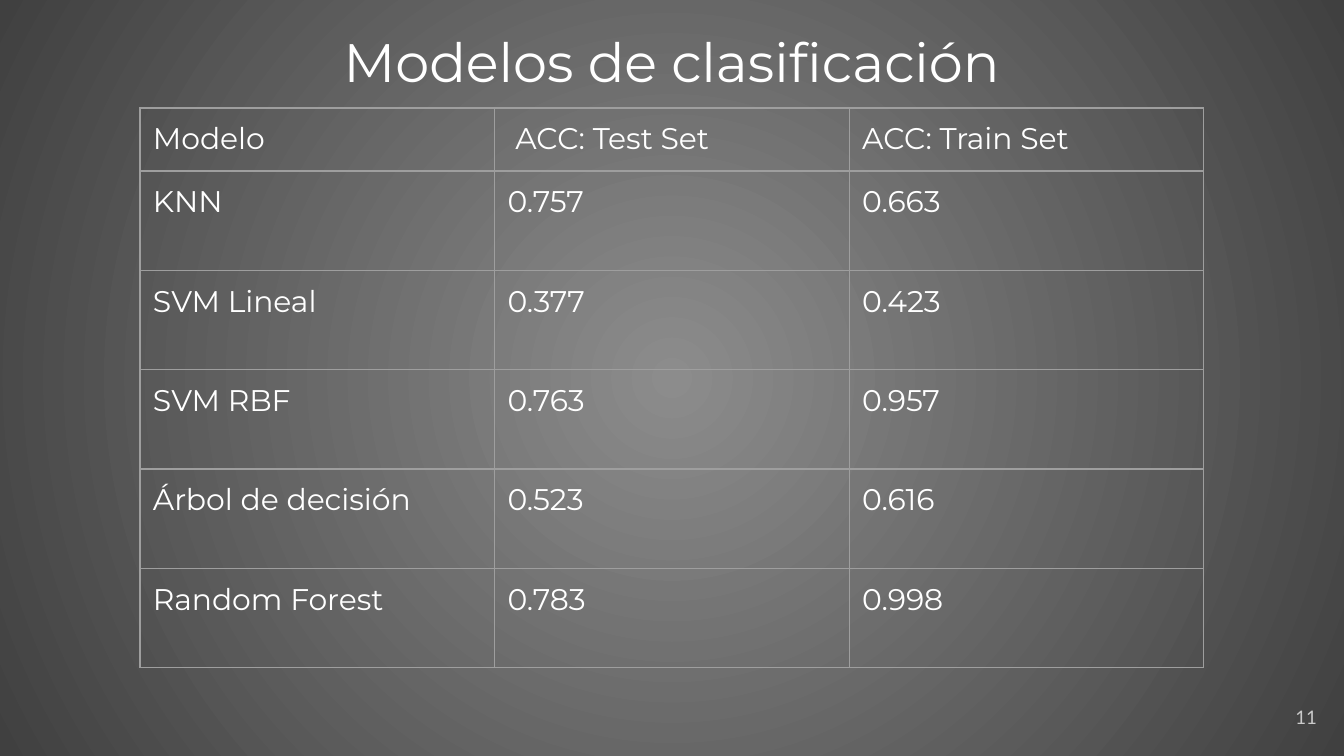
"""Build a slide with a table of classification model accuracies."""
from pptx import Presentation
from pptx.dml.color import RGBColor
from pptx.enum.text import MSO_ANCHOR, MSO_AUTO_SIZE, PP_ALIGN
from pptx.oxml import parse_xml
from pptx.oxml.ns import nsdecls, qn
from pptx.util import Pt

LEFT, MID, RIGHT = PP_ALIGN.LEFT, PP_ALIGN.CENTER, PP_ALIGN.RIGHT
TOP, MIDDLE = MSO_ANCHOR.TOP, MSO_ANCHOR.MIDDLE
NONE = MSO_AUTO_SIZE.NONE

TITLE = "Modelos de clasificación"
PAGE = "11"
ROWS = [
    ("Modelo", " ACC: Test Set", "ACC: Train Set"),
    ("KNN", "0.757", "0.663"),
    ("SVM Lineal", "0.377", "0.423"),
    ("SVM RBF", "0.763", "0.957"),
    ("Árbol de decisión", "0.523", "0.616"),
    ("Random Forest", "0.783", "0.998"),
]
COLORS = {"text": "FFFFFF", "page": "CACACA", "line": "9E9E9E",
          "inner": "8C8C8C", "outer": "404040"}
FONTS = {
    "title": {"name": "Montserrat", "size": Pt(29)},
    "cell": {"name": "Montserrat", "size": Pt(16)},
    "page": {"name": "Lato", "size": Pt(10)},
}
SIZE = (1344, 756)
BOXES = {"title": (140, 15, 1064, 92), "page": (1249, 688, 81, 58),
         "table": (140, 108, 1064, 560)}
HEAD = 63
PAD = 13
SCALE = 914400 / 134.4


def px(num):
    return round(num * SCALE)


def put(item, vals):
    for key, val in vals.items():
        setattr(item, key, val)


def pad(item):
    put(item, {f"margin_{side}": px(PAD)
               for side in ("left", "right", "top", "bottom")})


def write(frame, text, kind, color, align):
    par = frame.paragraphs[0]
    par.alignment = align
    run = par.add_run()
    run.text = text
    put(run.font, FONTS[kind])
    run.font.color.rgb = RGBColor.from_string(COLORS[color])


def place(shape, kind):
    names = ("left", "top", "width", "height")
    put(shape, dict(zip(names, map(px, BOXES[kind]))))


def label(shape, text, kind, color, align, anchor):
    place(shape, kind)
    frame = shape.text_frame
    put(frame, {"word_wrap": True, "auto_size": NONE,
                "vertical_anchor": anchor})
    pad(frame)
    write(frame, text, kind, color, align)


def border(cell):
    props = cell._tc.get_or_add_tcPr()
    for spot, side in enumerate("LRTB"):
        props.insert(spot, parse_xml(
            f'<a:ln{side} {nsdecls("a")} w="{Pt(0.75)}"><a:solidFill>'
            f'<a:srgbClr val="{COLORS["line"]}"/></a:solidFill></a:ln{side}>'))


def backdrop(slide):
    fill = slide.background.fill
    fill.gradient()
    for stop, name in zip(fill.gradient_stops, ("inner", "outer")):
        stop.color.rgb = RGBColor.from_string(COLORS[name])
    grad = next(slide.element.iter(qn("a:gradFill")))
    grad.remove(grad.find(qn("a:lin")))
    grad.append(parse_xml(
        f'<a:path {nsdecls("a")} path="circle"><a:fillToRect l="50000" '
        't="50000" r="50000" b="50000"/></a:path>'))


def grid(slide):
    x, y, wide, high = BOXES["table"]
    count = len(ROWS[0])
    table = slide.shapes.add_table(
        len(ROWS), count, *map(px, (x, y, wide, high))).table
    put(table, {"first_row": False, "horz_banding": False})
    for col in table.columns:
        col.width = px(wide / count)
    for num, row in enumerate(table.rows):
        row.height = px((high - HEAD) / (len(ROWS) - 1) if num else HEAD)
        for cell, text in zip(row.cells, ROWS[num]):
            cell.fill.background()
            cell.vertical_anchor = TOP
            pad(cell)
            border(cell)
            write(cell.text_frame, text, "cell", "text", LEFT)


def main():
    deck = Presentation()
    put(deck, dict(zip(("slide_width", "slide_height"), map(px, SIZE))))
    slide = deck.slides.add_slide(deck.slide_layouts[5])
    backdrop(slide)
    label(slide.shapes.title, TITLE, "title", "text", MID, TOP)
    grid(slide)
    page = slide.shapes.add_textbox(*map(px, BOXES["page"]))
    label(page, PAGE, "page", "page", RIGHT, MIDDLE)
    deck.save("out.pptx")


if __name__ == "__main__":
    main()
